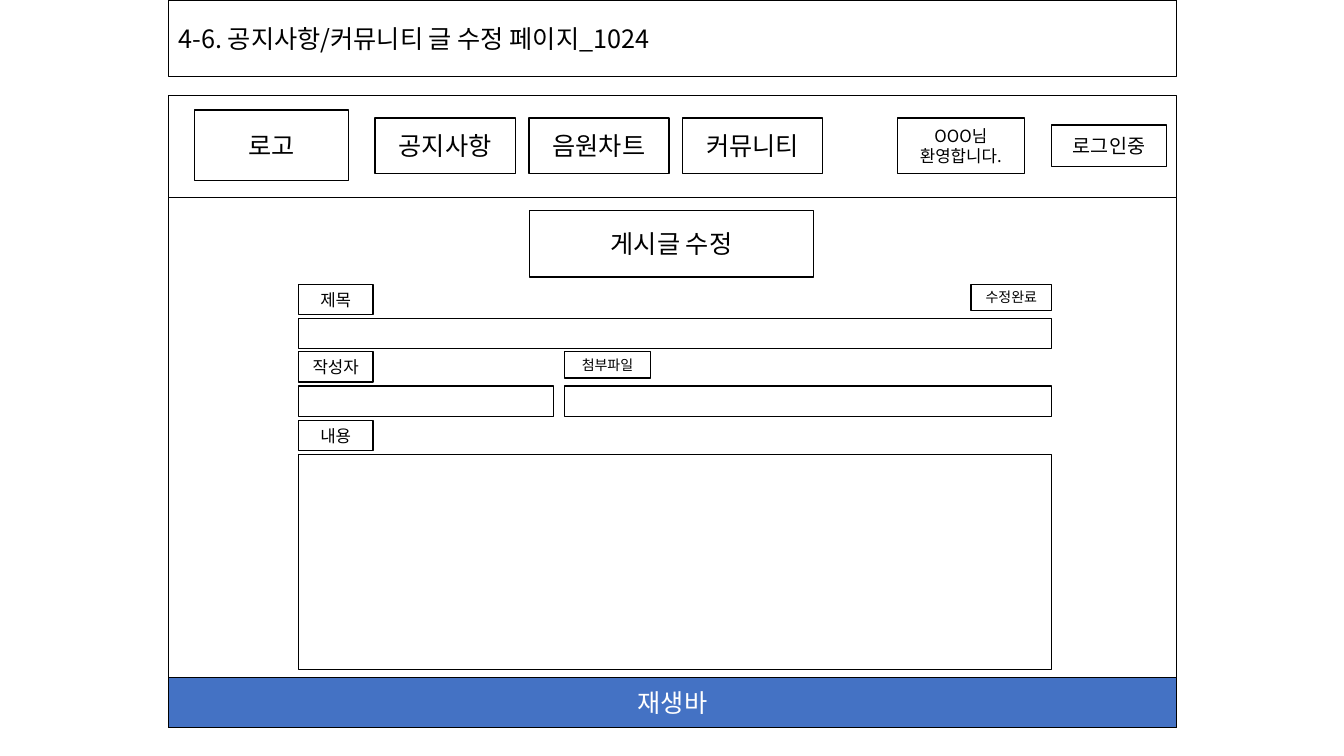
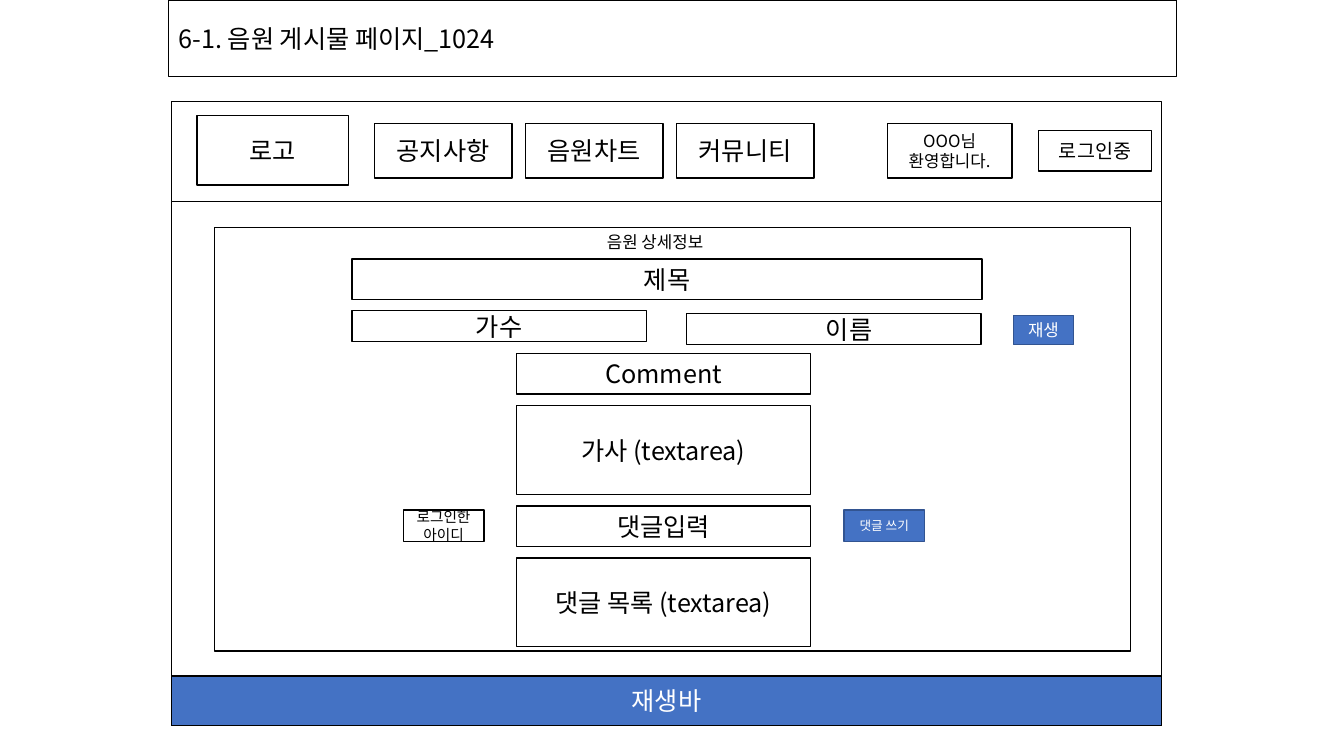
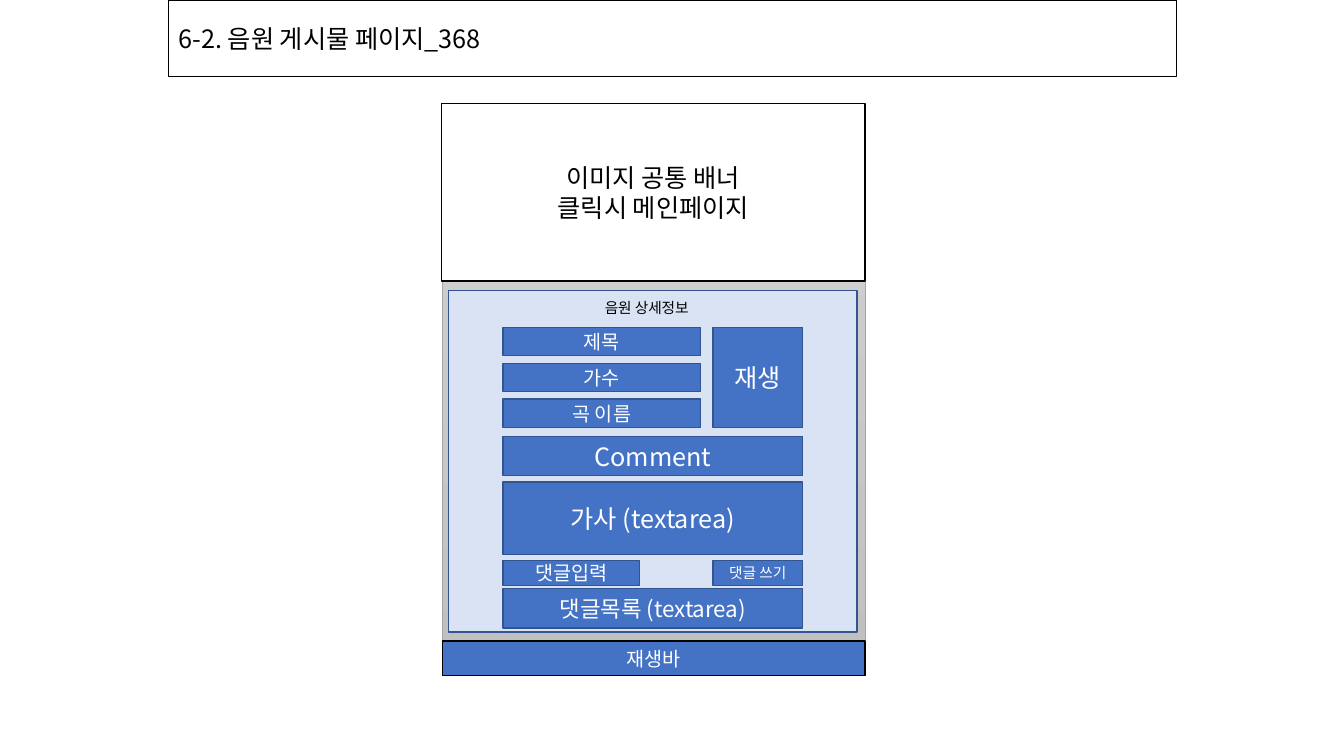
"""Build three wireframe slides of a music community site."""
import dataclasses

import lxml.etree
import pptx
import pptx.dml.color
import pptx.enum.shapes
import pptx.enum.text
import pptx.oxml.ns
import pptx.util


@dataclasses.dataclass(frozen=True)
class Theme:
    """Colours, font and type sizes of the deck."""
    font: str = "Noto Sans CJK KR"
    ink: str = "000000"
    paper: str = "FFFFFF"
    accent: str = "4472C4"
    accent_edge: str = "325491"
    tint: str = "DAE3F3"
    backdrop: tuple = ("D2D2D2", "C0C0C0")
    backdrop_edge: str = "A5A5A5"
    large: float = 18
    list_size: float = 16
    medium: float = 14
    small: float = 12
    note: float = 10.5
    tiny: float = 10
    micro: float = 9


THEME = Theme()
OUTLINE = (THEME.paper, THEME.ink, THEME.ink)
BUTTON = (THEME.accent, THEME.accent_edge, THEME.paper)
PLAYER = (THEME.accent, THEME.ink, THEME.paper)
PANEL = (THEME.tint, THEME.accent_edge, THEME.ink)


@dataclasses.dataclass(frozen=True)
class Grid:
    """Square grid with its origin and unit in inches."""
    left: float
    top: float
    unit: float

    def cell(self, column, row, columns, rows):
        """Return left, top, width and height of a block of cells."""
        inches = (self.left + column * self.unit, self.top + row * self.unit,
                  columns * self.unit, rows * self.unit)
        return tuple(pptx.util.Inches(value) for value in inches)


PAGE = Grid(0, 0, 0.1)


def rgb(code):
    """Turn a hex code into a colour."""
    return pptx.dml.color.RGBColor.from_string(code)


def write(frame, text, size, colour, align):
    """Fill a text frame and format its runs."""
    frame.text = text
    frame.word_wrap = True
    for para in frame.paragraphs:
        para.alignment = align
        for span in para.runs:
            span.font.size = pptx.util.Pt(size)
            span.font.name = THEME.font
            span.font.color.rgb = rgb(colour)
            properties = span.font._element
            east = lxml.etree.SubElement(properties, pptx.oxml.ns.qn("a:ea"))
            east.set("typeface", THEME.font)


def add_box(page, place, text="", size=THEME.large, style=OUTLINE):
    """Add an outlined rectangle with centred text."""
    fill, edge, ink = style
    box = page.shapes.add_shape(pptx.enum.shapes.MSO_SHAPE.RECTANGLE, *place)
    box.shadow.inherit = False
    box.fill.solid()
    box.fill.fore_color.rgb = rgb(fill)
    box.line.color.rgb = rgb(edge)
    box.line.width = pptx.util.Pt(1)
    box.text_frame.vertical_anchor = pptx.enum.text.MSO_ANCHOR.MIDDLE
    if text:
        write(box.text_frame, text, size, ink, pptx.enum.text.PP_ALIGN.CENTER)
    return box


def add_caption(page, place, text, size):
    """Add a plain line of text."""
    caption = page.shapes.add_textbox(*place)
    write(caption.text_frame, text, size, THEME.ink, pptx.enum.text.PP_ALIGN.LEFT)


def add_page(deck, title):
    """Add a slide with the framed title band."""
    page = deck.slides.add_slide(deck.slide_layouts[5])
    band = page.shapes.title
    band.left, band.top, band.width, band.height = PAGE.cell(16.7, 0, 100, 7.6)
    band.line.color.rgb = rgb(THEME.ink)
    band.line.width = pptx.util.Pt(1)
    band.text_frame.auto_size = pptx.enum.text.MSO_AUTO_SIZE.NONE
    band.text_frame.vertical_anchor = pptx.enum.text.MSO_ANCHOR.MIDDLE
    write(band.text_frame, title, THEME.large, THEME.ink, pptx.enum.text.PP_ALIGN.LEFT)
    return page


def add_site(page, grid, rows):
    """Add the desktop frame, header, menu and player bar."""
    add_box(page, grid.cell(0, 0.1, 100, rows - 0.1))
    add_box(page, grid.cell(0, 0, 100, 10.1))
    add_box(page, grid.cell(2.6, 1.4, 15.3, 7), "로고")
    for index, label in enumerate(("공지사항", "음원차트", "커뮤니티")):
        add_box(page, grid.cell(20.5 + 15.25 * index, 2.2, 13.9, 5.5), label)
    add_box(page, grid.cell(72.3, 2.2, 12.6, 5.5), "OOO님 환영합니다.", THEME.small)
    add_box(page, grid.cell(87.6, 2.9, 11.4, 4.1), "로그인중", THEME.medium)
    add_box(page, grid.cell(0, rows - 5, 100, 5), "재생바", style=PLAYER)


def add_field(page, grid, column, row, field, label):
    """Add a label tab with its empty input field below."""
    text, size, columns, rows = label
    add_box(page, grid.cell(column, row, columns, rows), text, size)
    add_box(page, grid.cell(column, row + 3.4, *field))


def build_edit_page(deck):
    """Build the post editing form."""
    page = add_page(deck, "4-6. 공지사항/커뮤니티 글 수정 페이지_1024")
    site = Grid(1.67, 0.95, 0.1)
    add_site(page, site, 62.7)
    add_box(page, site.cell(35.8, 11.4, 28.2, 6.6), "게시글 수정")
    fields = (("제목", 18.7, (74.7, 3)), ("작성자", 25.4, (25.3, 3)),
              ("내용", 32.2, (74.7, 21.3)))
    for text, row, field in fields:
        add_field(page, site, 12.9, row, field, (text, THEME.small, 7.4, 3))
    add_field(page, site, 39.3, 25.4, (48.3, 3), ("첨부파일", THEME.tiny, 8.5, 2.6))
    add_box(page, site.cell(79.6, 18.7, 8, 2.6), "수정완료", THEME.tiny)


def build_song_page(deck):
    """Build the desktop song page."""
    page = add_page(deck, "6-1. 음원 게시물 페이지_1024")
    add_site(page, Grid(1.7, 1.01, 0.0982), 63)
    add_box(page, PAGE.cell(21.3, 22.6, 90.8, 42))
    add_caption(page, PAGE.cell(59.2, 22.5, 13.2, 3), "음원 상세정보", THEME.small)
    add_box(page, PAGE.cell(34.9, 25.7, 62.5, 4), "제목")
    add_box(page, PAGE.cell(34.9, 30.8, 29.2, 3.1), "가수")
    name = add_box(page, PAGE.cell(68.1, 31.1, 29.2, 3.1), "이름")
    name.text_frame.margin_left = pptx.util.Inches(0.4)
    row = 35.1
    for text, rows in (("Comment", 4), ("가사 (textarea)", 8.8),
                       ("댓글입력", 4), ("댓글 목록 (textarea)", 8.8)):
        add_box(page, PAGE.cell(51.2, row, 29.2, rows), text)
        row += rows + 1.15
    add_box(page, PAGE.cell(40, 50.6, 8, 3.1), "로그인한아이디", THEME.note)
    add_box(page, PAGE.cell(83.7, 50.6, 8, 3.1), "댓글 쓰기", THEME.micro, BUTTON)
    add_box(page, PAGE.cell(100.5, 31.3, 6, 2.9), "재생", THEME.small, BUTTON)


def build_mobile_page(deck):
    """Build the mobile song page."""
    page = add_page(deck, "6-2. 음원 게시물 페이지_368")
    screen = add_box(page, PAGE.cell(43.9, 10.4, 41.9, 56.6))
    screen.fill.gradient()
    screen.fill.gradient_angle = 270
    for stop, colour in zip(screen.fill.gradient_stops, THEME.backdrop):
        stop.color.rgb = rgb(colour)
    screen.line.color.rgb = rgb(THEME.backdrop_edge)
    screen.line.width = pptx.util.Pt(0.5)
    add_box(page, PAGE.cell(43.8, 10.3, 42, 17.6), "이미지 공통 배너\n클릭시 메인페이지")
    add_box(page, PAGE.cell(43.9, 63.6, 41.9, 3.4), "재생바", THEME.medium, PLAYER)
    add_box(page, PAGE.cell(44.5, 28.8, 40.5, 33.9), style=PANEL)
    add_caption(page, PAGE.cell(59, 29.2, 11.7, 2.8), "음원 상세정보", THEME.note)
    for index, text in enumerate(("제목", "가수", "곡 이름")):
        place = PAGE.cell(49.9, 32.5 + 3.55 * index, 19.6, 2.8)
        add_box(page, place, text, THEME.medium, BUTTON)
    for text, row, rows, size in (("Comment", 43.3, 3.9, THEME.large),
                                  ("가사 (textarea)", 47.8, 7.2, THEME.large),
                                  ("댓글목록 (textarea)", 58.4, 3.9, THEME.list_size)):
        add_box(page, PAGE.cell(49.9, row, 29.7, rows), text, size, BUTTON)
    add_box(page, PAGE.cell(49.9, 55.6, 13.5, 2.5), "댓글입력", THEME.medium, BUTTON)
    add_box(page, PAGE.cell(70.7, 55.6, 8.9, 2.5), "댓글 쓰기", THEME.note, BUTTON)
    add_box(page, PAGE.cell(70.7, 32.5, 8.9, 9.9), "재생", THEME.large, BUTTON)


def main():
    """Build and save the deck."""
    deck = pptx.Presentation()
    deck.slide_width = pptx.util.Inches(13.33)
    deck.slide_height = pptx.util.Inches(7.5)
    for build in (build_edit_page, build_song_page, build_mobile_page):
        build(deck)
    deck.save("out.pptx")


main()
